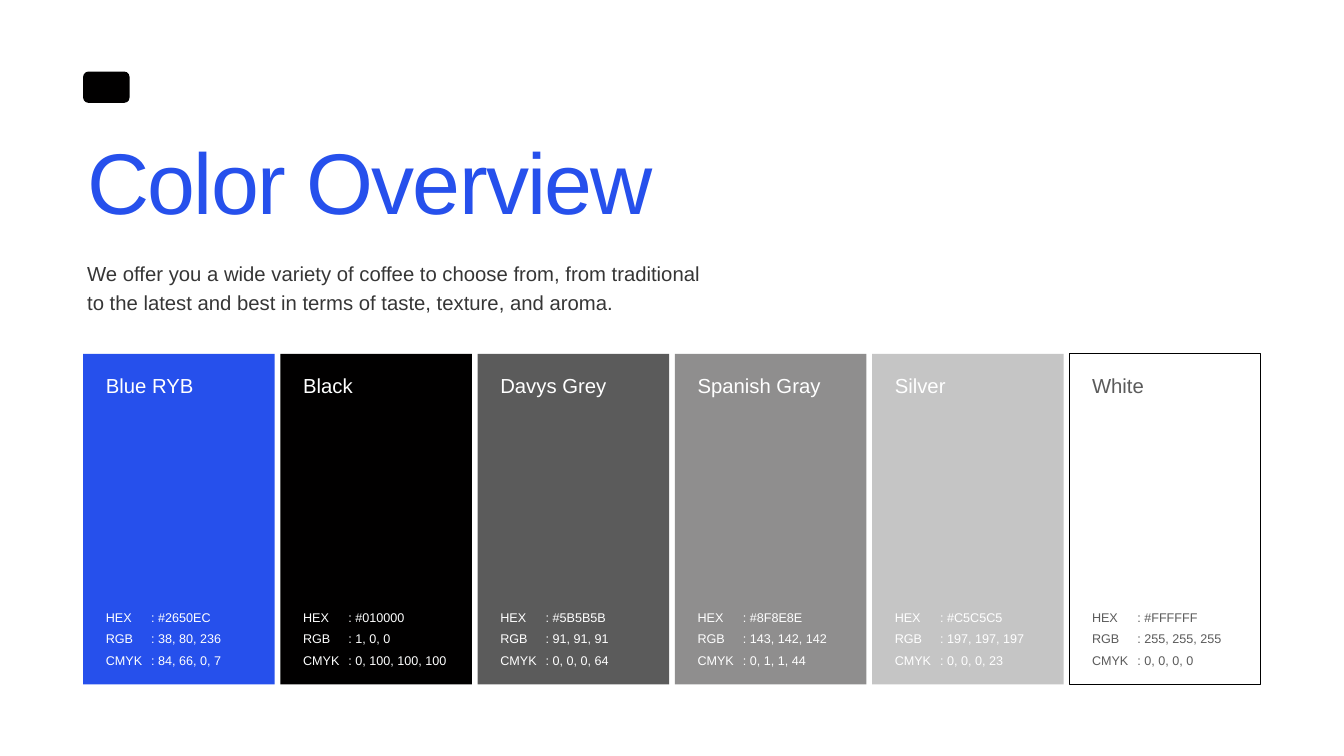
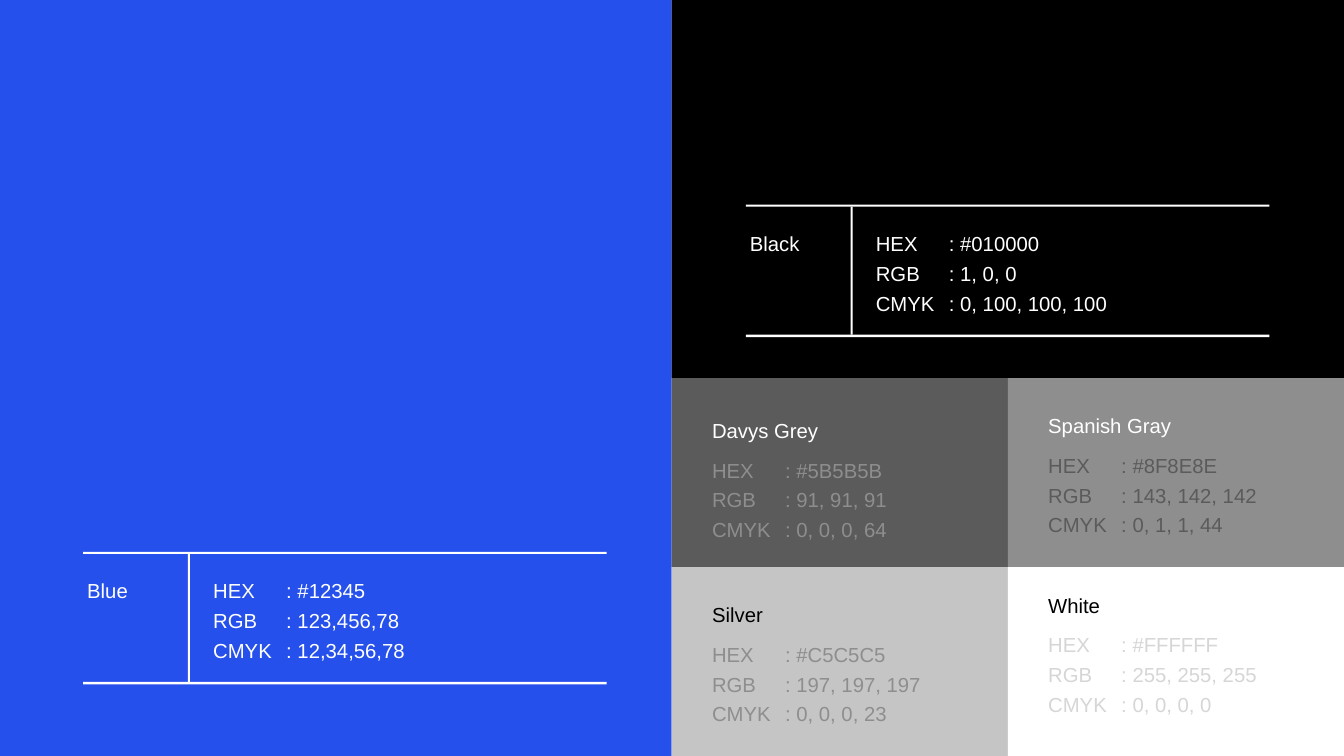
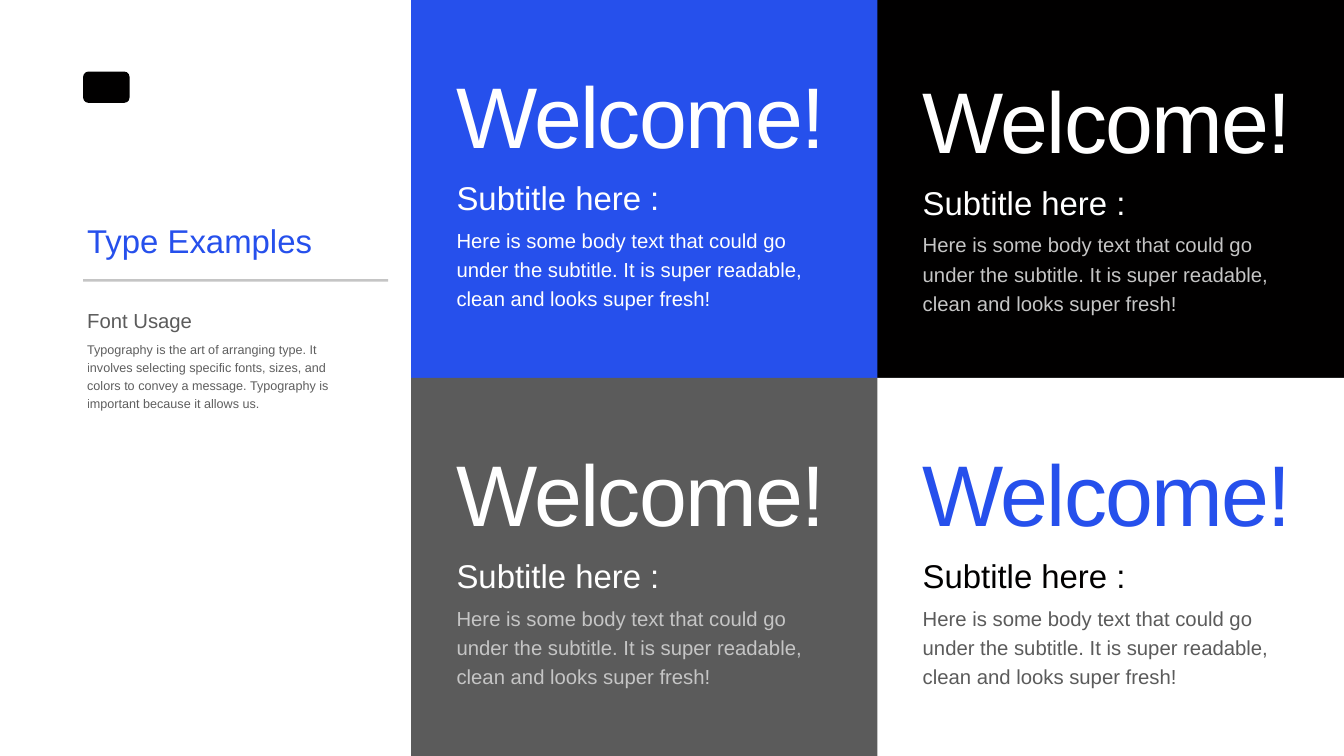
from lxml import etree
from pptx import Presentation
from pptx.dml.color import RGBColor
from pptx.enum.shapes import MSO_SHAPE
from pptx.enum.text import MSO_ANCHOR, MSO_AUTO_SIZE, PP_ALIGN
from pptx.oxml.ns import qn
from pptx.util import Inches, Pt

# Shared look
FONT = "Arial"
COLORS = {
    "blue": "2650EC", "black": "010000", "davys": "5B5B5B", "spanish": "8F8E8E",
    "silver": "C5C5C5", "white": "FFFFFF", "text": "363636", "pale": "D6D6D6",
    "outline": "000000",
}
DISPLAY, HEADING, BODY, SMALL = 123, 47, 29, 18
LINE_HEIGHT = {SMALL: 0.43, BODY: 0.59}
MARGIN = 1.65
HALF_W, HALF_H = 13.33, 7.5

# key: name, name width, RGB, CMYK
SWATCHES = {
    "blue": ("Blue RYB", 2.09, "38, 80, 236", "84, 66, 0, 7"),
    "black": ("Black", 2.09, "1, 0, 0", "0, 100, 100, 100"),
    "davys": ("Davys Grey", 2.46, "91, 91, 91", "0, 0, 0, 64"),
    "spanish": ("Spanish Gray", 2.73, "143, 142, 142", "0, 1, 1, 44"),
    "silver": ("Silver", 2.09, "197, 197, 197", "0, 0, 0, 23"),
    "white": ("White", 2.09, "255, 255, 255", "0, 0, 0, 0"),
}
SAMPLE_BODY = ("Here is some body text that could go under the subtitle. "
               "It is super readable, clean and looks super fresh!")


def rgb(key):
    return RGBColor.from_string(COLORS[key])


def codes_of(key):
    _, _, rgb_code, cmyk_code = SWATCHES[key]
    return "#" + COLORS[key], rgb_code, cmyk_code


# Element builders
def add_block(shapes, x, y, w, h, color, outline=None, kind=MSO_SHAPE.RECTANGLE):
    block = shapes.add_shape(kind, Inches(x), Inches(y), Inches(w), Inches(h))
    block.shadow.inherit = False
    block.fill.solid()
    block.fill.fore_color.rgb = rgb(color)
    if outline:
        block.line.color.rgb = rgb(outline)
        block.line.width = Pt(1)
    else:
        block.line.fill.background()
    return block


def write_text(shape, box, text, size, color, alpha=None, tab=None):
    shape.left, shape.top, shape.width, shape.height = map(Inches, box)
    frame = shape.text_frame
    frame.word_wrap = True
    frame.auto_size = MSO_AUTO_SIZE.SHAPE_TO_FIT_TEXT
    frame.vertical_anchor = MSO_ANCHOR.MIDDLE
    frame.margin_left = frame.margin_right = Inches(0.08)
    frame.margin_top = frame.margin_bottom = Inches(0.08)
    paragraph = frame.paragraphs[0]
    paragraph.alignment = PP_ALIGN.LEFT
    paragraph.line_spacing = 0.9 if size == DISPLAY else 1.2
    run = paragraph.add_run()
    run.text = text
    run.font.name = FONT
    run.font.size = Pt(size)
    run.font.color.rgb = rgb(color)
    if size == DISPLAY:
        run.font._element.set("spc", "-250")
    if alpha:
        color_xml = run.font._element.find(".//" + qn("a:srgbClr"))
        etree.SubElement(color_xml, qn("a:alpha"), val=str(alpha * 1000))
    if tab:
        tabs = etree.SubElement(paragraph._p.get_or_add_pPr(), qn("a:tabLst"))
        etree.SubElement(tabs, qn("a:tab"), pos=str(Inches(tab)), algn="l")


def add_text(slide, x, y, w, h, text, size, color, alpha=None, tab=None):
    shape = slide.shapes.add_textbox(0, 0, 0, 0)
    write_text(shape, (x, y, w, h), text, size, color, alpha, tab)


def add_title(slide, x, y, w, h, text, size):
    write_text(slide.shapes.title, (x, y, w, h), text, size, "blue")


def add_mark(slide):
    add_block(slide.shapes, MARGIN, 1.42, 0.92, 0.62, "black",
              kind=MSO_SHAPE.ROUNDED_RECTANGLE)


def add_codes(slide, x, y, w, codes, size, color):
    """Three lines of colour codes, with the values on a tab stop."""
    step = LINE_HEIGHT[size]
    for row, (label, value) in enumerate(zip(("HEX", "RGB", "CMYK"), codes)):
        add_text(slide, x, y + row * step, w, step, f"{label}\t: {value}",
                 size, color, tab=size * 0.05)


def add_framed_codes(slide, x, y, name, codes):
    """Name and codes between two rules, parted by an upright rule."""
    rules = slide.shapes.add_group_shape().shapes
    add_block(rules, x, y, 10.39, 0.04, "white")
    add_block(rules, x, y + 2.58, 10.39, 0.05, "white")
    add_block(rules, x + 2.08, y + 0.04, 0.04, 2.54, "white")
    add_text(slide, x, y + 0.43, 2.09, 0.59, name, BODY, "white")
    add_codes(slide, x + 2.5, y + 0.43, 7.89, codes, BODY, "white")


def add_type_sample(slide, x, y, title_color, subtitle_color, body_color):
    add_text(slide, x, y, 7.62, 2.02, "Welcome!", DISPLAY, title_color)
    add_text(slide, x, y + 2.02, 7.62, 0.86, "Subtitle here :", HEADING, subtitle_color)
    add_text(slide, x, y + 3.1, 7.62, 1.62, SAMPLE_BODY, BODY, body_color)


# Slides
def build_overview(slide):
    add_mark(slide)
    add_title(slide, MARGIN, 2.69, 11.69, 2.02, "Color Overview", DISPLAY)
    add_text(slide, MARGIN, 5.12, 12.59, 1.1,
             "We offer you a wide variety of coffee to choose from, from traditional "
             "to the latest and best in terms of taste, texture, and aroma.",
             BODY, "text")
    pitch = (21.22 - MARGIN) / (len(SWATCHES) - 1)
    for i, (key, (name, name_w, _, _)) in enumerate(SWATCHES.items()):
        x = MARGIN + i * pitch
        is_white = key == "white"
        ink = "davys" if is_white else "white"
        add_block(slide.shapes, x, 7.02, 3.8, 6.56, key, "outline" if is_white else None)
        add_text(slide, x + 0.37, 7.3, name_w, 0.59, name, BODY, ink)
        add_codes(slide, x + 0.37, 12, 3.06, codes_of(key), SMALL, ink)


def build_palette(slide):
    # Large halves
    add_block(slide.shapes, 0, 0, HALF_W, 2 * HALF_H, "blue")
    add_block(slide.shapes, HALF_W, 0, 13.34, HALF_H, "black")
    add_framed_codes(slide, MARGIN, 10.95, "Blue", ("#12345", "123,456,78", "12,34,56,78"))
    add_framed_codes(slide, 14.8, 4.06, "Black", codes_of("black"))
    # Grid of small tiles: key, text top, name colour, code colour
    tiles = (
        ("davys", 8.19, "white", "spanish"),
        ("spanish", 8.1, "white", "davys"),
        ("silver", 11.85, "black", "spanish"),
        ("white", 11.66, "black", "pale"),
    )
    for i, (key, y, name_color, code_color) in enumerate(tiles):
        row, column = divmod(i, 2)
        x = HALF_W + column * 6.67
        name, name_w = SWATCHES[key][:2]
        add_block(slide.shapes, x, HALF_H + row * 3.75, 6.67, 3.75, key)
        add_text(slide, x + 0.72, y, max(2.61, name_w + 0.18), 0.59, name, BODY, name_color)
        add_codes(slide, x + 0.72, y + 0.79, 5.23, codes_of(key), BODY, code_color)


def build_type_examples(slide):
    # Left column
    add_mark(slide)
    add_title(slide, MARGIN, 4.26, 4.78, 0.86, "Type Examples", HEADING)
    add_block(slide.shapes, MARGIN, 5.54, 6.05, 0.05, "silver")
    add_text(slide, MARGIN, 6.01, 6.04, 0.59, "Font Usage", BODY, "davys")
    add_text(slide, MARGIN, 6.73, 5.35, 1.43,
             "Typography is the art of arranging type. It involves selecting specific "
             "fonts, sizes, and colors to convey a message. Typography is important "
             "because it allows us.", SMALL, "text", alpha=80)
    # Sample panels: fill, text top, title, subtitle and body colours
    panels = (
        ("blue", 1.39, "white", "white", "white"),
        ("black", 1.48, "white", "white", "silver"),
        ("davys", 8.89, "white", "white", "silver"),
        ("white", 8.89, "blue", "black", "davys"),
    )
    for i, (fill, y, *inks) in enumerate(panels):
        row, column = divmod(i, 2)
        x = 8.16 + column * 9.25
        add_block(slide.shapes, x, row * HALF_H, 9.26, HALF_H, fill)
        add_type_sample(slide, x + 0.82, y, *inks)


def main():
    deck = Presentation()
    deck.slide_width, deck.slide_height = Inches(26.67), Inches(15)
    title_only, blank = deck.slide_layouts[5], deck.slide_layouts[6]
    build_overview(deck.slides.add_slide(title_only))
    build_palette(deck.slides.add_slide(blank))
    build_type_examples(deck.slides.add_slide(title_only))
    deck.save("out.pptx")


main()
